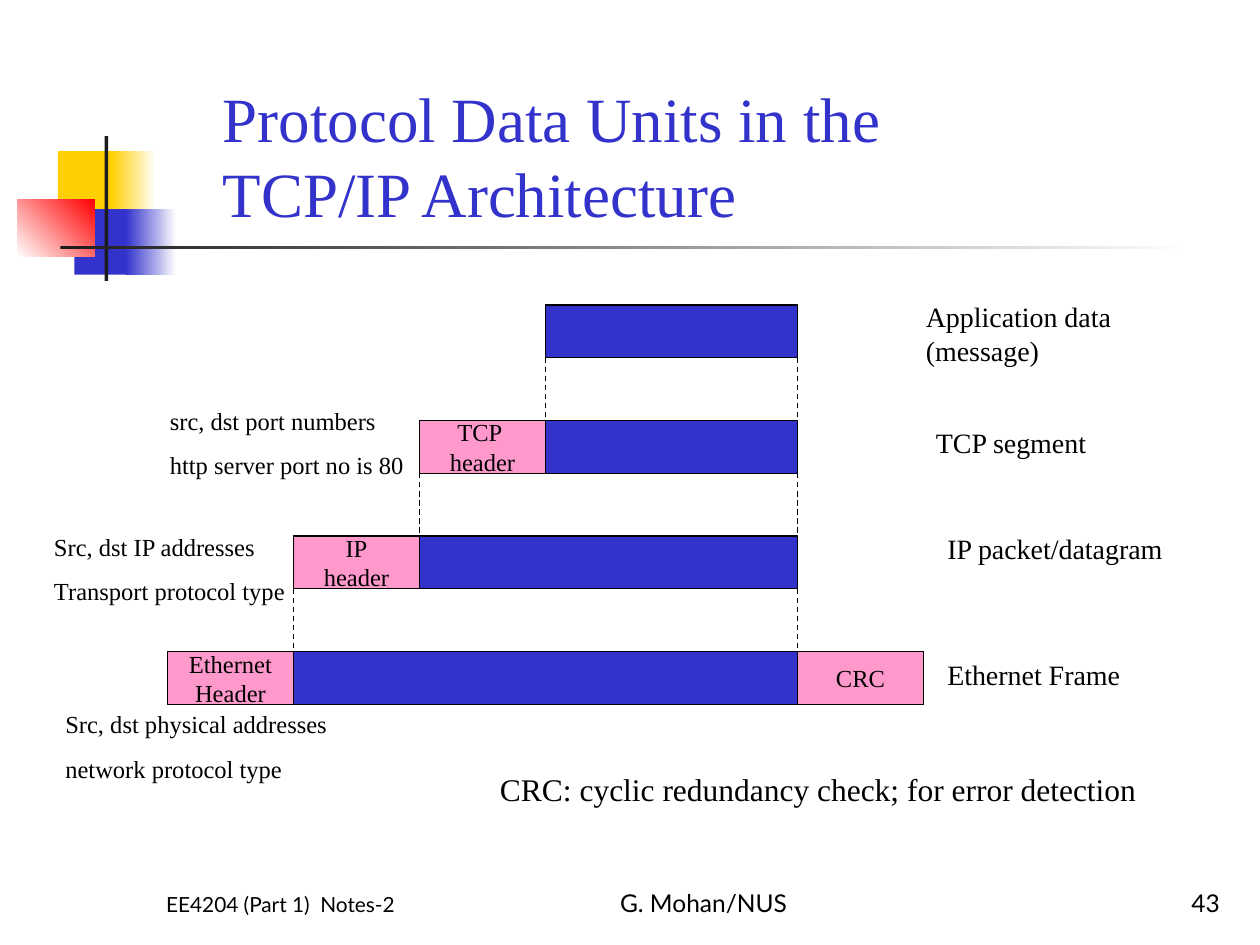
"""Build the slide on protocol data units in the TCP/IP architecture."""
from lxml import etree
from pptx import Presentation
from pptx.dml.color import RGBColor
from pptx.enum.dml import MSO_LINE
from pptx.enum.shapes import MSO_CONNECTOR, MSO_SHAPE
from pptx.enum.text import MSO_ANCHOR, MSO_AUTO_SIZE, PP_ALIGN
from pptx.oxml.ns import qn
from pptx.util import Inches, Pt

RECTANGLE, STRAIGHT, DASH = MSO_SHAPE.RECTANGLE, MSO_CONNECTOR.STRAIGHT, MSO_LINE.DASH
LEFT, CENTER, RIGHT = PP_ALIGN.LEFT, PP_ALIGN.CENTER, PP_ALIGN.RIGHT
TOP, MIDDLE, BOTTOM = MSO_ANCHOR.TOP, MSO_ANCHOR.MIDDLE, MSO_ANCHOR.BOTTOM
GROW, FIXED = MSO_AUTO_SIZE.SHAPE_TO_FIT_TEXT, MSO_AUTO_SIZE.NONE
SERIF, SANS = "Times New Roman", "Lato"
BLACK, WHITE, BLUE, PINK = "000000", "FFFFFF", "3333CC", "FF99CC"
YELLOW, RED, CHARCOAL = "FFCF01", "FF0000", "1C1C1C"
color = RGBColor.from_string

deck = Presentation()
deck.slide_width, deck.slide_height = Inches(10), Inches(7.5)
page = deck.slides.add_slide(deck.slide_layouts[6])


def add_block(place, colors, angle=0, outlined=False):
    block = page.shapes.add_shape(RECTANGLE, *map(Inches, place))
    block.shadow.inherit = False
    if len(colors) == 1:
        block.fill.solid()
        block.fill.fore_color.rgb = color(colors[0])
    else:
        block.fill.gradient()
        block.fill.gradient_angle = angle
        for stop, shade in zip(block.fill.gradient_stops, colors):
            stop.color.rgb = color(shade)
    if outlined:
        block.line.color.rgb = color(BLACK)
        block.line.width = Pt(0.75)
    else:
        block.line.fill.background()
    return block


def write(box, lines, size, font=SERIF, shade=BLACK, before=0, frame=None, para_format=None):
    text = box.text_frame
    frame_format = {"word_wrap": True, "auto_size": GROW, "vertical_anchor": TOP}
    for name, value in (frame_format | (frame or {})).items():
        setattr(text, name, value)
    for index, line in enumerate(lines):
        para = text.paragraphs[0] if index == 0 else text.add_paragraph()
        if index and before:
            para.space_before = Pt(before)
        for name, value in ({"alignment": LEFT} | (para_format or {})).items():
            setattr(para, name, value)
        span = para.add_run()
        span.text = line
        for name, value in {"size": Pt(size), "name": font}.items():
            setattr(span.font, name, value)
        span.font.color.rgb = color(shade)


ornaments = [
    ((0.46, 1.2, 0.48, 0.52), [YELLOW], 0),
    ((0.88, 1.2, 0.36, 0.52), [YELLOW, WHITE], 0),
    ((0.59, 1.66, 0.46, 0.52), [BLUE], 0),
    ((1, 1.66, 0.4, 0.52), [BLUE, WHITE], 0),
    ((0.14, 1.58, 0.61, 0.46), [WHITE, RED], 45),
    ((0.83, 1.08, 0.03, 1.15), [CHARCOAL], 0),
    ((0.48, 1.95, 9, 0.03), [CHARCOAL, WHITE], 0),
]
for place, colors, angle in ornaments:
    add_block(place, colors, angle)

first_top, row_pitch, bar_height = 2.42, 11 / 12, 0.42
data_left, data_right, header_width = 4.33, 6.33, 1
header_format = {"frame": {"word_wrap": False, "auto_size": FIXED, "vertical_anchor": MIDDLE},
                 "para_format": {"alignment": CENTER}}
headers = [None, ["TCP ", "header"], ["IP", "header"], ["Ethernet", "Header"]]
for row, header in enumerate(headers):
    top = first_top + row * row_pitch
    payload_left = data_left - max(row - 1, 0) * header_width
    add_block((payload_left, top, data_right - payload_left, bar_height), [BLUE], outlined=True)
    if not header:
        continue
    pieces = [(payload_left - header_width, header)]
    if row == len(headers) - 1:
        pieces.append((data_right, ["CRC"]))
    for left, lines in pieces:
        block = add_block((left, top, header_width, bar_height), [PINK], outlined=True)
        write(block, lines, 14, **header_format)
    for x in (payload_left, data_right):
        ends = (x, top - row_pitch + bar_height, x, top)
        guide = page.shapes.add_connector(STRAIGHT, *map(Inches, ends))
        guide.line.color.rgb = color(BLACK)
        guide.line.width = Pt(0.75)
        guide.line.dash_style = DASH
        etree.SubElement(guide.element.spPr, qn("a:effectLst"))

unit = {"size": 16}
detail = {"size": 14, "before": 8.8}
footer = {"size": 14, "font": SANS, "frame": {"auto_size": FIXED, "vertical_anchor": BOTTOM}}
texts = [
    ((7.25, 2.33, 2.17, 0.64), ["Application data (message)"], unit),
    ((7.33, 3.33, 2.17, 0.37), ["TCP segment"], unit),
    ((7.42, 4.17, 2.17, 0.37), ["IP packet/datagram"], unit),
    ((7.42, 5.17, 2.17, 0.37), ["Ethernet Frame"], unit),
    ((1.25, 3.17, 4, 0.69), ["src, dst port numbers", "http server port no is 80"], detail),
    ((0.33, 4.17, 2.25, 0.69), ["Src, dst IP addresses", "Transport protocol type"], detail),
    ((0.42, 5.58, 2.42, 0.69), ["Src, dst physical addresses", "network protocol type"], detail),
    ((1.67, 0.58, 6.58, 1.3), ["Protocol Data Units in the TCP/IP Architecture"],
     {"size": 36, "shade": BLUE}),
    ((4, 6.83, 3.17, 0.5), ["G. Mohan/NUS"], footer | {"para_format": {"alignment": CENTER}}),
    ((7.7, 6.83, 2.08, 0.5), ["43"], footer | {"para_format": {"alignment": RIGHT}}),
    ((3.87, 6.06, 5.77, 0.4), ["CRC: cyclic redundancy check; for error detection"], {"size": 18}),
    ((1.22, 6.83, 2.08, 0.5), ["EE4204 (Part 1)  Notes-2"],
     footer | {"size": 11.9, "para_format": {"line_spacing": 0.9}}),
]
for place, lines, style in texts:
    write(page.shapes.add_textbox(*map(Inches, place)), lines, **style)

deck.save("out.pptx")
